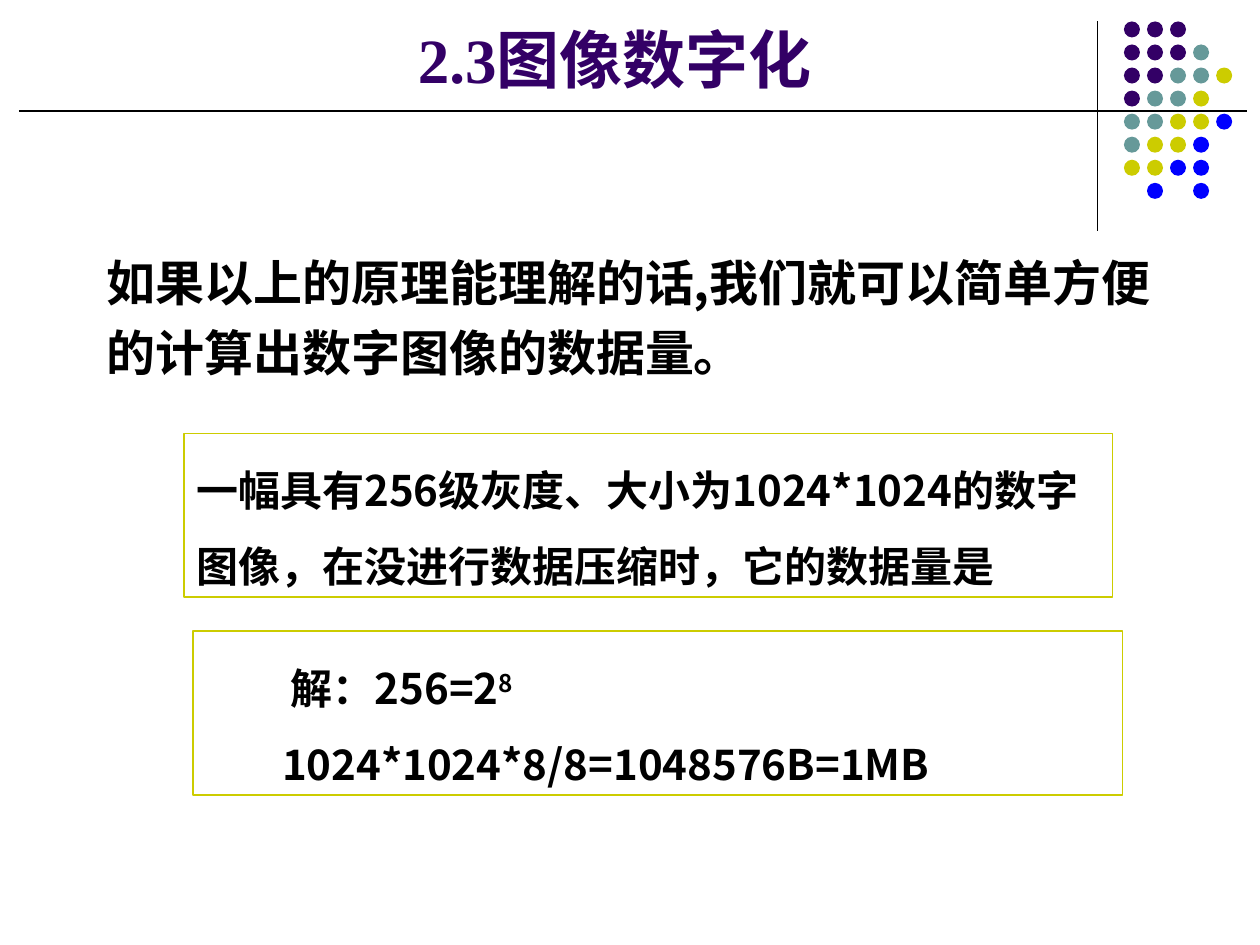
from dataclasses import dataclass

from lxml import etree
from pptx import Presentation
from pptx import util as u
from pptx.dml.color import RGBColor
from pptx.enum import shapes, text
from pptx.oxml.ns import qn

COLUMNS, ROWS = 100, 75


@dataclass(frozen=True)
class Theme:
    ink: str = "000000"
    purple: str = "330066"
    teal: str = "669999"
    olive: str = "CCCC00"
    blue: str = "0000FF"
    title_size: float = 36
    lead_size: float = 28
    body_size: float = 24
    title_font: str = "Times New Roman"
    body_font: str = "Noto Sans CJK SC"


@dataclass(frozen=True)
class Area:
    column: float
    row: float
    columns: float
    rows: float


@dataclass(frozen=True)
class Line:
    words: str
    indent: float = 0
    superscript: str = ""


@dataclass(frozen=True)
class Panel:
    area: Area
    lines: tuple[Line, ...]
    size: float
    spacing: float
    framed: bool = True


@dataclass(frozen=True)
class Rule:
    start: tuple[float, float]
    end: tuple[float, float]
    weight: float


THEME = Theme()
DOT_COLORS = {"P": THEME.purple, "T": THEME.teal, "O": THEME.olive, "B": THEME.blue}
DOT_ROWS = ("PPP", "PPPT", "PPTTO", "PTTO", "TTOOB", "TOOB", "OOBB", ".B.B")
DOT_ORIGIN, DOT_PITCH, DOT_SIZE = (89.2, 1.7), 1.83, 1.27

RULES = (
    Rule((87.1, 1.7), (87.1, 18.3), 0.75),
    Rule((1.5, 8.8), (99, 8.8), 1),
)
TITLE_AREA = Area(12.2, 0, 73.2, 9.2)
PANELS = (
    Panel(
        Area(7.5, 18.6, 86, 12.2),
        (Line("如果以上的原理能理解的话,我们就可以简单方便的计算出数字图像的数据量。"),),
        THEME.lead_size, 1.2, framed=False,
    ),
    Panel(
        Area(14.6, 34.4, 73.7, 13),
        (Line("一幅具有256级灰度、大小为1024*1024的数字图像，在没进行数据压缩时，它的数据量是"),),
        THEME.body_size, 1.5,
    ),
    Panel(
        Area(15.3, 50.1, 73.8, 13),
        (Line("解：256=2", 6.8, "8"), Line("1024*1024*8/8=1048576B=1MB", 6.1)),
        THEME.body_size, 1.5,
    ),
)


def across(deck, columns: float) -> int:
    return round(deck.slide_width * columns / COLUMNS)


def down(deck, rows: float) -> int:
    return round(deck.slide_height * rows / ROWS)


def place(deck, area: Area) -> tuple[int, int, int, int]:
    return (across(deck, area.column), down(deck, area.row),
            across(deck, area.columns), down(deck, area.rows))


def style_span(span, size: float, color: str, font: str) -> None:
    span.font.size = u.Pt(size)
    span.font.bold = True
    span.font.name = font
    span.font.color.rgb = RGBColor.from_string(color)
    east_asian = etree.SubElement(span.font._element, qn("a:ea"))
    east_asian.set("typeface", THEME.body_font)


def draw_title(deck, page, words: str) -> None:
    box = page.shapes.title
    box.left, box.top, box.width, box.height = place(deck, TITLE_AREA)
    frame = box.text_frame
    frame.text = words
    frame.auto_size = text.MSO_AUTO_SIZE.NONE
    frame.vertical_anchor = text.MSO_ANCHOR.MIDDLE
    para = frame.paragraphs[0]
    para.alignment = text.PP_ALIGN.CENTER
    style_span(para.runs[0], THEME.title_size, THEME.purple, THEME.title_font)


def draw_rule(deck, page, rule: Rule) -> None:
    connector = page.shapes.add_connector(
        shapes.MSO_CONNECTOR.STRAIGHT,
        across(deck, rule.start[0]), down(deck, rule.start[1]),
        across(deck, rule.end[0]), down(deck, rule.end[1]),
    )
    connector.line.color.rgb = RGBColor.from_string(THEME.ink)
    connector.line.width = u.Pt(rule.weight)
    etree.SubElement(connector._element.spPr, qn("a:effectLst"))


def draw_dots(deck, page) -> None:
    group = page.shapes.add_group_shape()
    for row, marks in enumerate(DOT_ROWS):
        for column, mark in enumerate(marks):
            if mark not in DOT_COLORS:
                continue
            area = Area(DOT_ORIGIN[0] + column * DOT_PITCH,
                        DOT_ORIGIN[1] + row * DOT_PITCH, DOT_SIZE, DOT_SIZE)
            dot = group.shapes.add_shape(shapes.MSO_SHAPE.OVAL, *place(deck, area))
            dot.shadow.inherit = False
            dot.fill.solid()
            dot.fill.fore_color.rgb = RGBColor.from_string(DOT_COLORS[mark])
            dot.line.fill.background()


def draw_panel(deck, page, panel: Panel) -> None:
    if panel.framed:
        box = page.shapes.add_shape(shapes.MSO_SHAPE.RECTANGLE, *place(deck, panel.area))
        box.shadow.inherit = False
        box.fill.background()
        box.line.color.rgb = RGBColor.from_string(THEME.olive)
        box.line.width = u.Pt(1)
    else:
        box = page.shapes.add_textbox(*place(deck, panel.area))
    frame = box.text_frame
    frame.word_wrap = True
    frame.auto_size = text.MSO_AUTO_SIZE.SHAPE_TO_FIT_TEXT
    frame.vertical_anchor = text.MSO_ANCHOR.TOP
    frame.text = "\n".join(line.words for line in panel.lines)
    for para, line in zip(frame.paragraphs, panel.lines):
        para.alignment = text.PP_ALIGN.LEFT
        para.line_spacing = panel.spacing
        if line.indent:
            para._p.get_or_add_pPr().set("marL", str(across(deck, line.indent)))
        if line.superscript:
            raised = para.add_run()
            raised.text = line.superscript
            raised.font._element.set("baseline", "30000")
        for span in para.runs:
            style_span(span, panel.size, THEME.ink, THEME.body_font)


def main() -> None:
    deck = Presentation()
    deck.slide_width, deck.slide_height = u.Inches(10), u.Inches(7.5)
    page = deck.slides.add_slide(deck.slide_layouts.get_by_name("Title Only"))
    draw_dots(deck, page)
    for panel in PANELS:
        draw_panel(deck, page, panel)
    for rule in RULES:
        draw_rule(deck, page, rule)
    draw_title(deck, page, "2.3图像数字化")
    deck.save("out.pptx")


if __name__ == "__main__":
    main()
